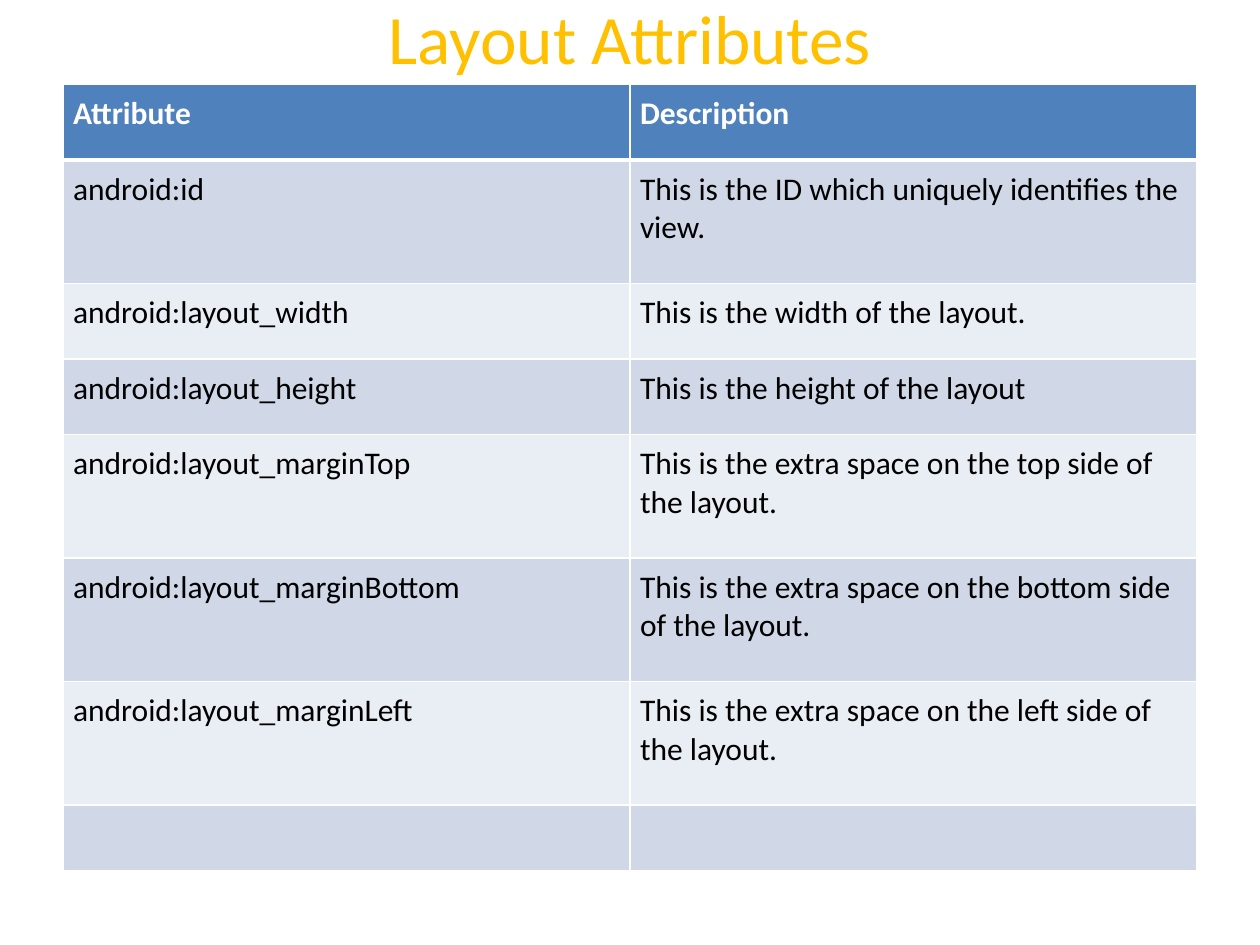
from dataclasses import dataclass

from lxml import etree
from pptx import Presentation
from pptx import util as u
from pptx.dml.color import RGBColor
from pptx.enum import text
from pptx.oxml import ns


@dataclass(frozen=True)
class Theme:
    font: str = "Calibri"
    title_size: float = 39.6
    body_size: float = 18
    title: str = "FFC000"
    header: str = "4F81BD"
    header_text: str = "FFFFFF"
    body_text: str = "000000"
    bands: tuple = ("D0D8E8", "E9EDF4")
    border: str = "FFFFFF"


theme = Theme()


def set_font(font, size, color, bold=False):
    font.name = theme.font
    font.size = u.Pt(size)
    font.bold = bold
    font.color.rgb = RGBColor.from_string(color)


def set_borders(cell, **widths):
    tc_pr = cell._tc.get_or_add_tcPr()
    for side in "LRTB":
        ln = etree.SubElement(tc_pr, ns.qn(f"a:ln{side}"),
                              w=str(u.Pt(widths.get(side, 1))))
        fill = etree.SubElement(ln, ns.qn("a:solidFill"))
        etree.SubElement(fill, ns.qn("a:srgbClr"), val=theme.border)


prs = Presentation()
prs.slide_width, prs.slide_height = u.Inches(10), u.Inches(7.5)
s = prs.slides.add_slide(prs.slide_layouts[5])

# Title
sp = s.shapes.title
sp.left, sp.top = u.Inches(0.5), u.Inches(0)
sp.width, sp.height = u.Inches(9), u.Inches(0.58)
tf = sp.text_frame
tf.text = "Layout Attributes"
tf.auto_size = text.MSO_AUTO_SIZE.NONE
tf.vertical_anchor = text.MSO_ANCHOR.MIDDLE
p = tf.paragraphs[0]
p.alignment = text.PP_ALIGN.CENTER
set_font(p.font, theme.title_size, theme.title)

# Table content: row height, attribute, description
rows = [
    (0.6, "Attribute", "Description"),
    (0.98, "android:id", "This is the ID which uniquely identifies the view."),
    (0.6, "android:layout_width", "This is the width of the layout."),
    (0.6, "android:layout_height", "This is the height of the layout"),
    (0.98, "android:layout_marginTop",
     "This is the extra space on the top side of the layout."),
    (0.98, "android:layout_marginBottom",
     "This is the extra space on the bottom side of the layout."),
    (0.98, "android:layout_marginLeft",
     "This is the extra space on the left side of the layout."),
    (0.52, "", ""),
]

# Attribute table
table = s.shapes.add_table(len(rows), 2, u.Inches(0.5), u.Inches(0.67),
                           u.Inches(9), u.Inches(6.25)).table
for i, (height, *values) in enumerate(rows):
    table.rows[i].height = u.Inches(height)
    is_header = i == 0
    fill = theme.header if is_header else theme.bands[(i - 1) % 2]
    color = theme.header_text if is_header else theme.body_text
    for j, value in enumerate(values):
        cell = table.cell(i, j)
        cell.margin_left = cell.margin_right = u.Inches(0.08)
        cell.margin_top = cell.margin_bottom = u.Inches(0.08)
        set_borders(cell, T=3 if i == 1 else 1, B=3 if is_header else 1)
        cell.fill.solid()
        cell.fill.fore_color.rgb = RGBColor.from_string(fill)
        p = cell.text_frame.paragraphs[0]
        if value:
            p.text = value
        set_font(p.font, theme.body_size, color, is_header)

prs.save("out.pptx")
